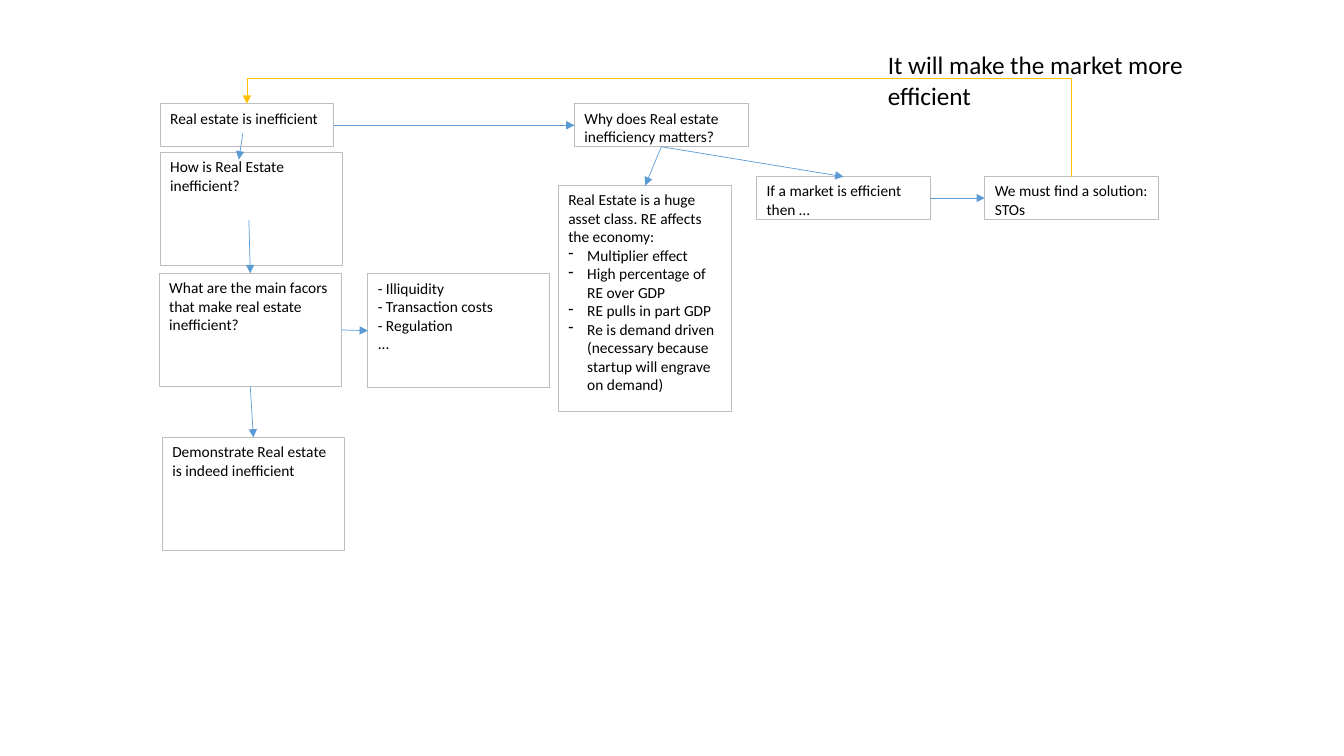
from lxml import etree
from pptx import Presentation
from pptx import util as u
from pptx.dml import color
from pptx.enum import shapes, text
from pptx.oxml import ns

SMALL = (124, 30.6)
MEDIUM = (130, 81)
TALL = (124, 161.5)
TOP, LEFT, BOTTOM, RIGHT = range(4)


def rgb(value):
    """Return a colour from a hex string."""
    return color.RGBColor.from_string(value)


def add_child(parent, tag, **attributes):
    """Append a drawing element with the given attributes."""
    return etree.SubElement(parent, ns.qn(tag), **attributes)


def write_text(shape, lines, size=11, font="Calibri", colour="000000", bullets_from=None):
    """Fill a shape with paragraphs, dash-bulleted from the given index on."""
    frame = shape.text_frame
    frame.word_wrap = True
    frame.vertical_anchor = text.MSO_ANCHOR.TOP
    for index, line in enumerate(lines):
        paragraph = frame.paragraphs[0] if index == 0 else frame.add_paragraph()
        paragraph.alignment = text.PP_ALIGN.LEFT
        run = paragraph.add_run()
        run.text = line
        run.font.size = u.Pt(size)
        run.font.name = font
        run.font.color.rgb = rgb(colour)
        if bullets_from is not None and index >= bullets_from:
            properties = paragraph._p.get_or_add_pPr()
            properties.set("marL", str(u.Pt(13.5)))
            properties.set("indent", str(-u.Pt(13.5)))
            add_child(properties, "a:buFontTx")
            add_child(properties, "a:buChar", char="-")


def add_box(slide, left, top, size, *lines, bullets_from=None):
    """Draw a white box with a thin grey outline and its text."""
    box = slide.shapes.add_shape(
        shapes.MSO_SHAPE.RECTANGLE, u.Pt(left), u.Pt(top), *map(u.Pt, size))
    box.shadow.inherit = False
    box.fill.solid()
    box.fill.fore_color.rgb = rgb("FFFFFF")
    box.line.color.rgb = rgb("BDBDBD")
    box.line.width = u.Pt(0.75)
    write_text(box, lines, bullets_from=bullets_from)
    return box


def add_arrow(slide, start=(0, 0), end=(0, 0), kind=shapes.MSO_CONNECTOR.STRAIGHT, colour="5B9BD5"):
    """Draw a thin connector that ends in a triangle."""
    arrow = slide.shapes.add_connector(kind, *map(u.Pt, start + end))
    arrow.line.color.rgb = rgb(colour)
    arrow.line.width = u.Pt(0.5)
    add_child(arrow.line._get_or_add_ln(), "a:tailEnd", type="triangle")
    add_child(arrow._element.spPr, "a:effectLst")
    return arrow


def link(slide, source, source_side, target, target_side):
    """Glue an arrow between the sides of two boxes."""
    arrow = add_arrow(slide)
    arrow.begin_connect(source, source_side)
    arrow.end_connect(target, target_side)


def add_inefficiency_chain(slide, left, top):
    """Build the left column of questions and return its first box."""
    claim = add_box(slide, left + 0.7, top, SMALL, "Real estate is inefficient")
    add_box(slide, left + 0.7, top + 34.5, MEDIUM, "How is Real Estate inefficient?")
    factors = add_box(slide, left, top + 121, MEDIUM,
                      "What are the main facors that make real estate inefficient?")
    examples = add_box(slide, left + 149, top + 121.5, MEDIUM,
                       "- Illiquidity", "- Transaction costs", "- Regulation", "...")
    proof = add_box(slide, left + 2.2, top + 238.3, MEDIUM,
                    "Demonstrate Real estate is indeed inefficient")
    add_arrow(slide, (left + 59.7, top + 21), (left + 56.8, top + 39.7))
    add_arrow(slide, (left + 64, top + 83), (left + 65, top + 121))
    link(slide, factors, BOTTOM, proof, TOP)
    link(slide, factors, RIGHT, examples, LEFT)
    return claim


def add_importance_branch(slide, left, top):
    """Build the right branch on why it matters and return its first box."""
    question = add_box(slide, left + 11.5, top, SMALL, "Why does Real estate inefficiency matters?")
    economy = add_box(
        slide, left, top + 58.3, TALL,
        "Real Estate is a huge asset class. RE affects the economy:",
        "Multiplier effect",
        "High percentage of RE over GDP",
        "RE pulls in part GDP",
        "Re is demand driven (necessary because startup will engrave on demand)",
        bullets_from=1)
    condition = add_box(slide, left + 141.6, top + 52, SMALL, "If a market is efficient then …")
    solution = add_box(slide, left + 304.6, top + 52, SMALL, "We must find a solution: STOs")
    link(slide, question, BOTTOM, economy, TOP)
    link(slide, question, BOTTOM, condition, TOP)
    link(slide, condition, RIGHT, solution, LEFT)
    return question


def add_feedback_loop(slide, left, top, width, height):
    """Draw the yellow return arrow across its box and the caption beside it."""
    middle_x, middle_y = left + width / 2, top + height / 2
    loop = add_arrow(slide, (middle_x - height / 2, middle_y + width / 2),
                     (middle_x + height / 2, middle_y - width / 2),
                     kind=shapes.MSO_CONNECTOR.ELBOW, colour="FFC000")
    properties = loop._element.spPr
    properties.find(ns.qn("a:xfrm")).set("rot", str(270 * 60000))
    geometry = properties.find(ns.qn("a:prstGeom"))
    adjustments = geometry.find(ns.qn("a:avLst"))
    if adjustments is None:
        adjustments = add_child(geometry, "a:avLst")
    add_child(adjustments, "a:gd", name="adj1", fmla="val 134700")
    caption = slide.shapes.add_textbox(
        u.Pt(left + 450.7), u.Pt(top - 42.3), u.Pt(232), u.Pt(51))
    write_text(caption, ["It will make the market more efficient"], size=18)


def main():
    """Build the argument map and save it."""
    presentation = Presentation()
    presentation.slide_width = u.Pt(960)
    presentation.slide_height = u.Pt(540)
    slide = presentation.slides.add_slide(presentation.slide_layouts[6])
    claim = add_inefficiency_chain(slide, 113.8, 74.2)
    question = add_importance_branch(slide, 398.9, 74.2)
    link(slide, claim, RIGHT, question, LEFT)
    add_feedback_loop(slide, 176.4, 74.2, 589, 52)
    presentation.save("out.pptx")


if __name__ == "__main__":
    main()
